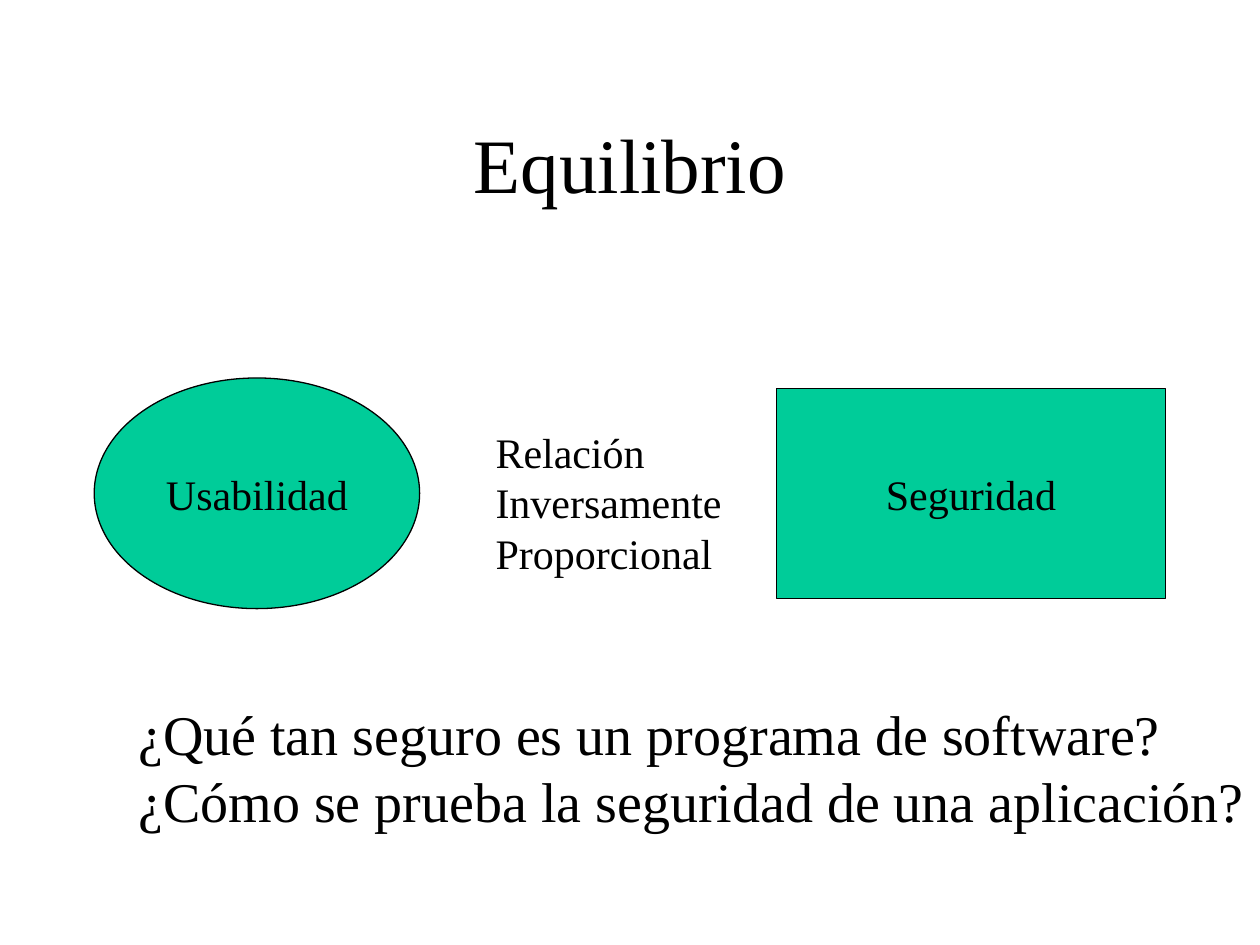
from pptx import Presentation
from pptx.dml.color import RGBColor
from pptx.enum.shapes import MSO_SHAPE
from pptx.enum.text import MSO_ANCHOR, MSO_AUTO_SIZE, PP_ALIGN
from pptx.util import Cm, Pt

OVAL, RECT = MSO_SHAPE.OVAL, MSO_SHAPE.RECTANGLE
LEFT, MID = PP_ALIGN.LEFT, PP_ALIGN.CENTER
TOP, CENTER = MSO_ANCHOR.TOP, MSO_ANCHOR.MIDDLE
GROW, FIXED = MSO_AUTO_SIZE.SHAPE_TO_FIT_TEXT, MSO_AUTO_SIZE.NONE


def color(code):
    return RGBColor.from_string(code)


def write(frame, text, size=24, font="Times New Roman", ink="000000",
          align=LEFT, anchor=TOP, wrap=True, fit=FIXED):
    """Fill a text frame, one paragraph for each line of text."""
    frame.text = text
    frame.word_wrap = wrap
    frame.auto_size = fit
    frame.vertical_anchor = anchor
    for para in frame.paragraphs:
        para.alignment = align
        para.font.size = Pt(size)
        para.font.name = font
        para.font.color.rgb = color(ink)


class Deck:
    fill = "00CC99"
    line = "000000"

    def __init__(self, wide, high):
        self.prs = Presentation()
        self.prs.slide_width, self.prs.slide_height = Cm(wide), Cm(high)
        self.slide = self.prs.slides.add_slide(self.prs.slide_layouts[5])

    def title(self, text, x, y, w, h):
        head = self.slide.shapes.title
        head.left, head.top, head.width, head.height = map(Cm, (x, y, w, h))
        write(head.text_frame, text, size=44, align=MID, anchor=CENTER)

    def shape(self, kind, text, x, y, w, h):
        item = self.slide.shapes.add_shape(kind, *map(Cm, (x, y, w, h)))
        item.shadow.inherit = False
        item.fill.solid()
        item.fill.fore_color.rgb = color(self.fill)
        item.line.color.rgb = color(self.line)
        item.line.width = Pt(0.75)
        write(item.text_frame, text, align=MID, anchor=CENTER, wrap=False)

    def note(self, text, x, y, w, h, size=24):
        box = self.slide.shapes.add_textbox(*map(Cm, (x, y, w, h)))
        write(box.text_frame, text, size=size, fit=GROW)


def main():
    deck = Deck(25.4, 19.05)
    deck.title("Equilibrio", 1.9, 1.68, 21.6, 3.18)

    # The two opposing qualities and how they relate
    deck.shape(OVAL, "Usabilidad", 1.9, 7.62, 6.56, 4.65)
    deck.shape(RECT, "Seguridad", 15.66, 7.83, 7.83, 4.23)
    deck.note("Relación\nInversamente\nProporcional", 9.74, 8.47, 5.2, 3.3)

    # Closing questions
    deck.note("¿Qué tan seguro es un programa de software?\n"
              "¿Cómo se prueba la seguridad de una aplicación?",
              2.54, 13.97, 22.86, 2.97, size=32)

    deck.prs.save("out.pptx")


if __name__ == "__main__":
    main()
